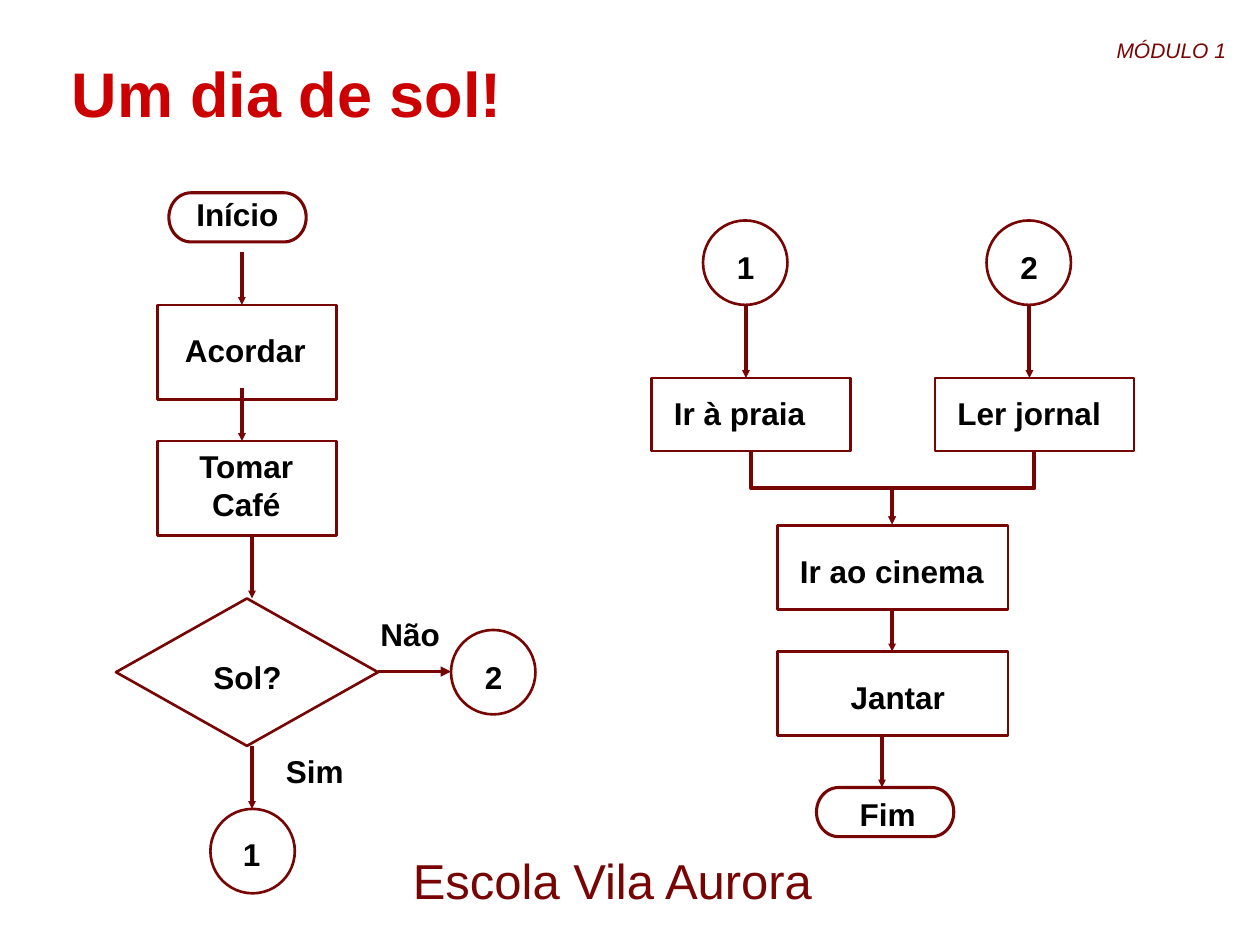
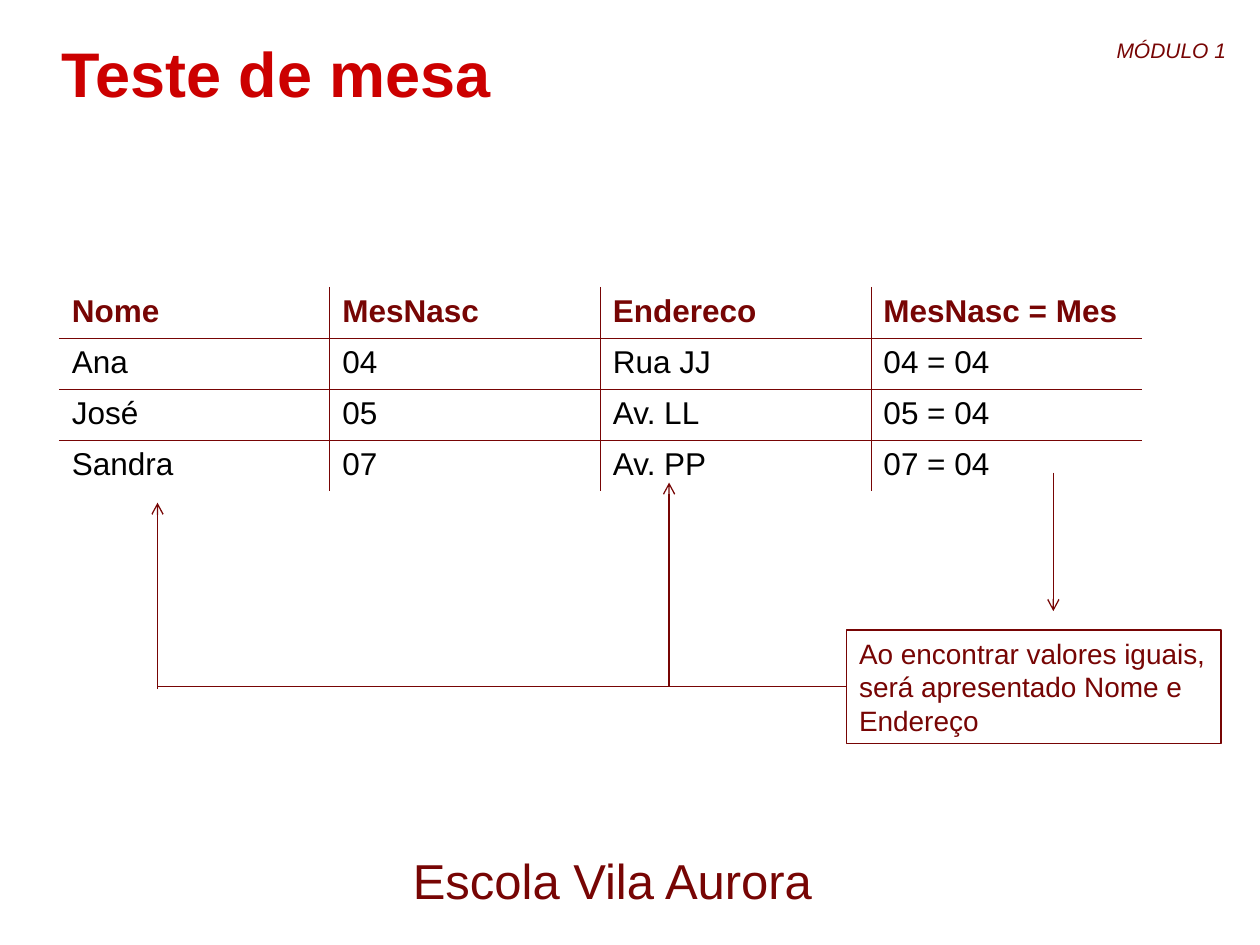
from pptx import Presentation
from pptx.dml.color import RGBColor
from pptx.enum.shapes import MSO_CONNECTOR as Connector, MSO_SHAPE as Shape
from pptx.enum.text import MSO_ANCHOR as Anchor, PP_ALIGN as Align
from pptx.oxml.ns import qn
from pptx.util import Inches, Pt
from lxml.etree import SubElement

COLORS = {"wine": "770504", "red": "CC0000", "black": "000000", "white": "FFFFFF"}
FONT = "Arial"
STYLES = {
    "title": {"size": 36, "bold": True, "color": "red"},
    "module": {"size": 12, "italic": True, "color": "wine"},
    "footer": {"size": 28, "color": "wine"},
    "step": {"size": 18, "bold": True, "color": "black"},
    "head": {"size": 18, "bold": True, "color": "wine"},
    "cell": {"size": 18, "color": "black"},
    "note": {"size": 16, "color": "wine"},
}
LEFT, CENTER, RIGHT = Align.LEFT, Align.CENTER, Align.RIGHT

MODULE = "MÓDULO 1"
SCHOOL = "Escola Vila Aurora"

TERMINATOR_SIZE = (1.09, 0.39)
CIRCLE_SIZE = (0.67, 0.67)
STEP_SIZE = (1.42, 0.75)
CHOICE_SIZE = (1.58, 0.58)
ENDING_SIZE = (1.83, 0.67)

OUTLINES = [
    (Shape.FLOWCHART_PROCESS, STEP_SIZE, 1.5, [(1.25, 2.42), (1.25, 3.5)]),
    (Shape.FLOWCHART_DECISION, (2.08, 1.17), 1.5, [(0.92, 4.75)]),
    (Shape.FLOWCHART_CONNECTOR, CIRCLE_SIZE, 1.5,
     [(1.67, 6.42), (3.58, 5), (5.58, 1.75), (7.83, 1.75)]),
    (Shape.FLOWCHART_PROCESS, CHOICE_SIZE, 1.5, [(5.17, 3), (7.42, 3)]),
    (Shape.FLOWCHART_PROCESS, ENDING_SIZE, 1.5, [(6.17, 4.17), (6.17, 5.17)]),
    (Shape.FLOWCHART_TERMINATOR, TERMINATOR_SIZE, 1.76, [(1.34, 1.53), (6.48, 6.25)]),
]
LABELS = [
    (["Início"], 1.46, 1.5, 1, LEFT),
    (["Acordar"], 1.37, 2.58, 1.17, LEFT),
    (["Tomar", "Café"], 1.37, 3.5, 1.17, CENTER),
    (["Sol?"], 1.38, 5.17, 1.17, CENTER),
    (["Não"], 2.92, 4.83, 0.75, LEFT),
    (["Sim"], 2.17, 5.92, 0.75, LEFT),
    (["1"], 1.83, 6.58, 0.42, LEFT),
    (["2"], 3.75, 5.17, 0.42, LEFT),
    (["1"], 5.75, 1.92, 0.42, LEFT),
    (["2"], 8, 1.92, 0.42, LEFT),
    (["Ir à praia"], 5.25, 3.08, 1.42, LEFT),
    (["Ler jornal"], 7.5, 3.08, 1.42, LEFT),
    (["Ir ao cinema"], 6.25, 4.33, 1.75, LEFT),
    (["Jantar"], 6.25, 5.33, 1.75, CENTER),
    (["Fim"], 6.42, 6.26, 1.25, CENTER),
]
DOWN_ARROWS = [
    (1.92, 2, 2.42), (1.92, 3.08, 3.5), (2, 4.25, 4.75), (2, 5.92, 6.42),
    (5.92, 2.42, 3), (8.17, 2.42, 3), (7.08, 4.83, 5.17), (7, 5.83, 6.25),
]
JOIN_STARTS = [(5.96, 3.59), (8.21, 3.59)]
JOIN_END = (7.08, 4.16)

TABLE_ROWS = [
    ["Nome", "MesNasc", "Endereco", "MesNasc = Mes"],
    ["Ana", "04", "Rua JJ", "04 = 04"],
    ["José", "05", "Av. LL", "05 = 04"],
    ["Sandra", "07", "Av. PP", "07 = 04"],
]
NOTE = "Ao encontrar valores iguais, será apresentado Nome e Endereço"


def rgb(name):
    return RGBColor.from_string(COLORS[name])


def write(frame, lines, style, align=LEFT, anchor=Anchor.TOP):
    frame.word_wrap = True
    frame.vertical_anchor = anchor
    for index, line in enumerate(lines):
        paragraph = frame.add_paragraph() if index else frame.paragraphs[0]
        paragraph.alignment = align
        run = paragraph.add_run()
        run.text = line
        for key, value in {"name": FONT, "bold": False, **STYLES[style]}.items():
            if key == "color":
                run.font.color.rgb = rgb(value)
            else:
                setattr(run.font, key, Pt(value) if key == "size" else value)


def add_text(slide, lines, box, style, align=LEFT, anchor=Anchor.TOP):
    shape = slide.shapes.add_textbox(*map(Inches, box))
    write(shape.text_frame, lines, style, align, anchor)


def add_outline(slide, kind, box, width):
    shape = slide.shapes.add_shape(kind, *map(Inches, box))
    shape.shadow.inherit = False
    shape.fill.background()
    shape.line.color.rgb = rgb("wine")
    shape.line.width = Pt(width)
    return shape


def add_line(slide, start, end, width, head=None, size="med", kind=Connector.STRAIGHT):
    connector = slide.shapes.add_connector(kind, *map(Inches, (*start, *end)))
    connector.line.color.rgb = rgb("wine")
    connector.line.width = Pt(width)
    properties = connector._element.spPr
    if head:
        SubElement(properties.find(qn("a:ln")), qn("a:tailEnd"), type=head, w=size, len=size)
    SubElement(properties, qn("a:effectLst"))
    return properties


def turn(properties, **settings):
    for key, value in settings.items():
        properties.find(qn("a:xfrm")).set(key, value)


def add_join(slide, start, end):
    across, down = abs(end[0] - start[0]), end[1] - start[1]
    middle_x, middle_y = (start[0] + end[0]) / 2, (start[1] + end[1]) / 2
    corner = (middle_x - down / 2, middle_y - across / 2)
    opposite = (middle_x + down / 2, middle_y + across / 2)
    properties = add_line(slide, corner, opposite, 2.24, "triangle", "sm", Connector.ELBOW)
    if end[0] > start[0]:
        turn(properties, rot="16200000", flipH="1")
    else:
        turn(properties, rot="5400000")


def add_border(cell, side, color):
    line = SubElement(cell._tc.get_or_add_tcPr(), qn(f"a:ln{side}"), w=str(Pt(0.45)))
    fill = SubElement(line, qn("a:solidFill"))
    SubElement(fill, qn("a:srgbClr"), val=COLORS[color])


def add_data_table(slide, rows, box):
    row_count, column_count = len(rows), len(rows[0])
    table = slide.shapes.add_table(row_count, column_count, *map(Inches, box)).table
    table.first_row = table.horz_banding = False
    for row, values in enumerate(rows):
        for column, value in enumerate(values):
            cell = table.cell(row, column)
            edges = {"L": column == 0, "R": column == column_count - 1,
                     "T": row == 0, "B": row == row_count - 1}
            for side, outer in edges.items():
                add_border(cell, side, "white" if outer else "wine")
            cell.fill.solid()
            cell.fill.fore_color.rgb = rgb("white")
            write(cell.text_frame, [value], "cell" if row else "head")


def add_slide(title, left, top):
    slide = presentation.slides.add_slide(presentation.slide_layouts[6])
    add_text(slide, [MODULE], (8.65, 0.25, 1.18, 0.54), "module", RIGHT)
    add_text(slide, [SCHOOL], (2.64, 6.7, 4.44, 0.6), "footer", CENTER)
    add_text(slide, [title], (left, top, 7.86, 0.85), "title", anchor=Anchor.BOTTOM)
    return slide


def build_flowchart():
    slide = add_slide("Um dia de sol!", 0.47, 0.23)
    for kind, size, width, places in OUTLINES:
        for place in places:
            add_outline(slide, kind, (*place, *size), width)
    for x, top, bottom in DOWN_ARROWS:
        add_line(slide, (x, top), (x, bottom), 2.24, "triangle", "sm")
    add_line(slide, (3, 5.33), (3.58, 5.33), 1.5, "triangle")
    for start in JOIN_STARTS:
        add_join(slide, start, JOIN_END)
    for lines, left, top, width, align in LABELS:
        add_text(slide, lines, (left, top, width, 0.1 + 0.3 * len(lines)), "step", align)


def build_desk_check():
    slide = add_slide("Teste de mesa", 0.39, 0.07)
    add_data_table(slide, TABLE_ROWS, (0.47, 2.28, 8.59, 1.62))
    note = add_outline(slide, Shape.RECTANGLE, (6.72, 5, 2.97, 0.9), 0.74)
    write(note.text_frame, [NOTE], "note")
    add_line(slide, (8.36, 3.75), (8.36, 4.85), 0.74, "arrow")
    elbow = add_line(slide, (5.31, 3.83), (6.72, 5.45), 0.74, "arrow", kind=Connector.ELBOW)
    elbow.find(qn("a:prstGeom")).set("prst", "bentConnector2")
    turn(elbow, rot="10800000")
    add_line(slide, (1.25, 5.47), (1.25, 3.99), 0.74, "arrow")
    add_line(slide, (1.25, 5.45), (5.31, 5.45), 0.74)


presentation = Presentation()
presentation.slide_width, presentation.slide_height = Inches(10), Inches(7.5)
build_flowchart()
build_desk_check()
presentation.save("out.pptx")
